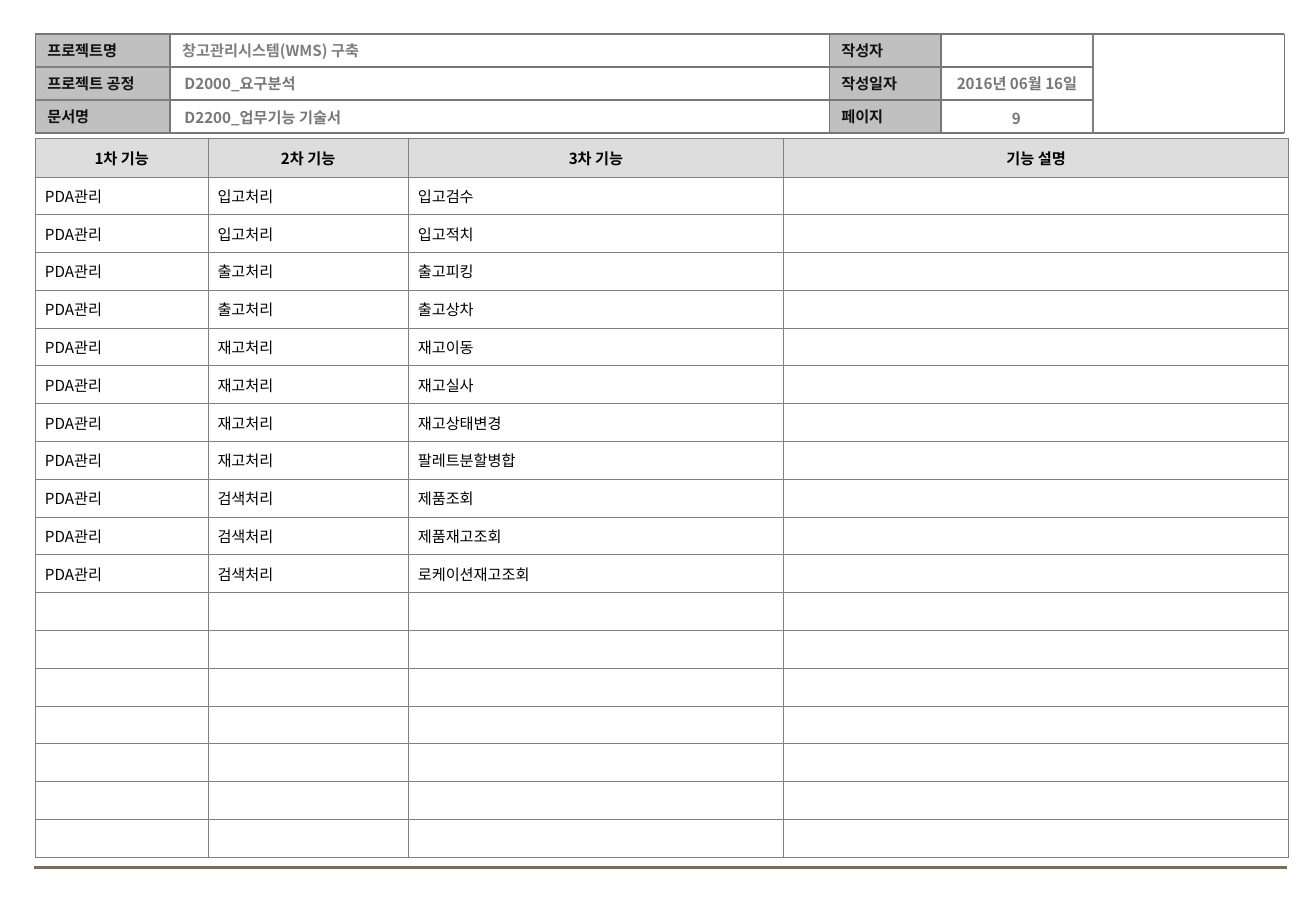
"""Builds the PDA function list of the warehouse management system specification."""
from typing import Any, NamedTuple

from lxml.etree import SubElement
from pptx import Presentation
from pptx.dml.color import RGBColor
from pptx.enum.shapes import MSO_CONNECTOR, MSO_SHAPE
from pptx.enum.text import MSO_ANCHOR as Anchor, PP_ALIGN as Align
from pptx.oxml.ns import qn
from pptx.util import Cm, Pt

FONT = "Noto Sans CJK KR"
BLACK = RGBColor(0x00, 0x00, 0x00)
INK = RGBColor(0x11, 0x11, 0x11)
GRAY = RGBColor(0x77, 0x77, 0x77)
PROJECT_GRAY = RGBColor(0x7F, 0x7F, 0x7F)
BORDER_GRAY = RGBColor(0x80, 0x80, 0x80)
LABEL_FILL = RGBColor(0xC0, 0xC0, 0xC0)
HEADER_FILL = RGBColor(0xDD, 0xDD, 0xDD)
FOOTER_BROWN = RGBColor(0x7A, 0x6F, 0x54)

LEFT, VALUE_X, LABEL_X, DATE_X, STAMP_X, RIGHT = 0.74, 3.56, 17.35, 19.69, 22.86, 26.87
TOP, BAND = 0.71, 0.69
BOTTOM = TOP + 3 * BAND
TABLE_TOP, HEADER_HEIGHT, ROW_HEIGHT = 2.9, 0.8, 0.79
BLANK_ROWS = 7
COLUMN_WIDTHS = (3.61, 4.19, 7.85, 10.57)
HEADERS = ("1차 기능", "2차 기능", "3차 기능", "기능 설명")
FUNCTIONS = {
    "입고처리": ("입고검수", "입고적치"),
    "출고처리": ("출고피킹", "출고상차"),
    "재고처리": ("재고이동", "재고실사", "재고상태변경", "팔레트분할병합"),
    "검색처리": ("제품조회", "제품재고조회", "로케이션재고조회"),
}
BOX_FORMAT = {
    "word_wrap": True, "vertical_anchor": Anchor.MIDDLE,
    "margin_left": Cm(0.25), "margin_right": Cm(0.25),
    "margin_top": Cm(0.13), "margin_bottom": Cm(0.13),
}
CELL_FORMAT = {
    "vertical_anchor": Anchor.MIDDLE,
    "margin_left": Cm(0.2), "margin_right": Cm(0.2),
    "margin_top": Cm(0.13), "margin_bottom": Cm(0.13),
}


class Label(NamedTuple):
    text: str
    x: float
    width: float
    row: int


class Value(NamedTuple):
    text: str
    x: float
    y: float
    width: float
    height: float
    color: RGBColor = GRAY
    align: Align = Align.LEFT


class Rule(NamedTuple):
    x1: float
    y1: float
    x2: float
    y2: float
    color: RGBColor = GRAY
    width: float = 1


LABELS = [
    Label(text, x, width, row)
    for x, width, texts in (
        (LEFT, VALUE_X - LEFT, ("프로젝트명", "프로젝트 공정", "문서명")),
        (LABEL_X, DATE_X - LABEL_X, ("작성자", "작성일자", "페이지")),
    )
    for row, text in enumerate(texts)
]
VALUES = (
    Value("창고관리시스템(WMS) 구축", VALUE_X, TOP, 13.79, BAND, PROJECT_GRAY),
    Value("9", 19.76, 2.13, 3, 0.69, align=Align.CENTER),
    Value("D2000_요구분석", 3.61, 1.42, 12.19, 0.64),
    Value("D2200_업무기능 기술서", 3.61, 2.13, 12.19, 0.64),
    Value("2016년 06월 16일", 19.28, 1.42, 3.99, 0.64, align=Align.CENTER),
)
RULES = [
    *(Rule(x, TOP, x, BOTTOM) for x in (VALUE_X, LABEL_X, DATE_X)),
    Rule(STAMP_X, TOP, STAMP_X, BOTTOM, BORDER_GRAY),
    *(
        Rule(start, TOP + row * BAND, end, TOP + row * BAND, color)
        for row in (1, 2)
        for start, end, color in ((LEFT, VALUE_X, BORDER_GRAY), (VALUE_X, STAMP_X, GRAY))
    ),
    *(Rule(x, TOP, x, BOTTOM) for x in (LEFT, RIGHT)),
    *(Rule(LEFT, y, RIGHT, y) for y in (TOP, BOTTOM)),
]


def apply_format(target: Any, values: dict[str, Any]) -> None:
    for attribute, value in values.items():
        setattr(target, attribute, value)


def write(frame: Any, text: str, color: RGBColor, bold: bool, align: Align) -> None:
    paragraph = frame.paragraphs[0]
    paragraph.alignment = align
    if not text:
        SubElement(paragraph._p, qn("a:endParaRPr"), sz="900")
        return
    run = paragraph.add_run()
    run.text = text
    apply_format(run.font, {"name": FONT, "size": Pt(9), "bold": bold})
    run.font.color.rgb = color
    SubElement(run.font._element, qn("a:ea"), typeface=FONT)


def draw_label(shapes: Any, label: Label) -> None:
    box = shapes.add_shape(
        MSO_SHAPE.RECTANGLE, Cm(label.x), Cm(TOP + label.row * BAND), Cm(label.width), Cm(BAND)
    )
    box.shadow.inherit = False
    box.fill.solid()
    box.fill.fore_color.rgb = LABEL_FILL
    box.line.fill.background()
    apply_format(box.text_frame, BOX_FORMAT)
    write(box.text_frame, label.text, INK, True, Align.LEFT)


def draw_value(shapes: Any, value: Value) -> None:
    box = shapes.add_textbox(Cm(value.x), Cm(value.y), Cm(value.width), Cm(value.height))
    apply_format(box.text_frame, BOX_FORMAT)
    write(box.text_frame, value.text, value.color, True, value.align)


def draw_rule(shapes: Any, rule: Rule) -> None:
    line = shapes.add_connector(
        MSO_CONNECTOR.STRAIGHT, Cm(rule.x1), Cm(rule.y1), Cm(rule.x2), Cm(rule.y2)
    )
    line.line.color.rgb = rule.color
    line.line.width = Pt(rule.width)
    SubElement(line._element.spPr, qn("a:effectLst"))


def add_borders(cell: Any) -> None:
    properties = cell._tc.get_or_add_tcPr()
    for side in ("lnL", "lnR", "lnT", "lnB"):
        border = SubElement(properties, qn(f"a:{side}"), w=str(Pt(0.45)))
        fill = SubElement(border, qn("a:solidFill"))
        SubElement(fill, qn("a:srgbClr"), val=str(BORDER_GRAY))


def draw_functions(shapes: Any) -> None:
    rows = [HEADERS]
    rows += [("PDA관리", group, name, "") for group, names in FUNCTIONS.items() for name in names]
    rows += [("",) * len(HEADERS)] * BLANK_ROWS
    height = HEADER_HEIGHT + (len(rows) - 1) * ROW_HEIGHT
    functions = shapes.add_table(
        len(rows), len(HEADERS), Cm(LEFT), Cm(TABLE_TOP), Cm(sum(COLUMN_WIDTHS)), Cm(height)
    ).table
    apply_format(functions, {"first_row": False, "horz_banding": False})
    for column, width in zip(functions.columns, COLUMN_WIDTHS):
        column.width = Cm(width)
    for index, texts in enumerate(rows):
        is_header = index == 0
        functions.rows[index].height = Cm(HEADER_HEIGHT if is_header else ROW_HEIGHT)
        for cell, text in zip(functions.rows[index].cells, texts):
            apply_format(cell, CELL_FORMAT)
            add_borders(cell)
            if is_header:
                cell.fill.solid()
                cell.fill.fore_color.rgb = HEADER_FILL
            else:
                cell.fill.background()
            align = Align.CENTER if is_header else Align.LEFT
            write(cell.text_frame, text, BLACK, is_header, align)


def main() -> None:
    deck = Presentation()
    apply_format(deck, {"slide_width": Cm(27.53), "slide_height": Cm(19.05)})
    shapes = deck.slides.add_slide(deck.slide_layouts[6]).shapes
    draw_rule(shapes, Rule(0.71, 18.14, 26.92, 18.14, FOOTER_BROWN, 1.75))
    for label in LABELS:
        draw_label(shapes, label)
    for rule in RULES:
        draw_rule(shapes, rule)
    for value in VALUES:
        draw_value(shapes, value)
    draw_functions(shapes)
    deck.save("out.pptx")


if __name__ == "__main__":
    main()
